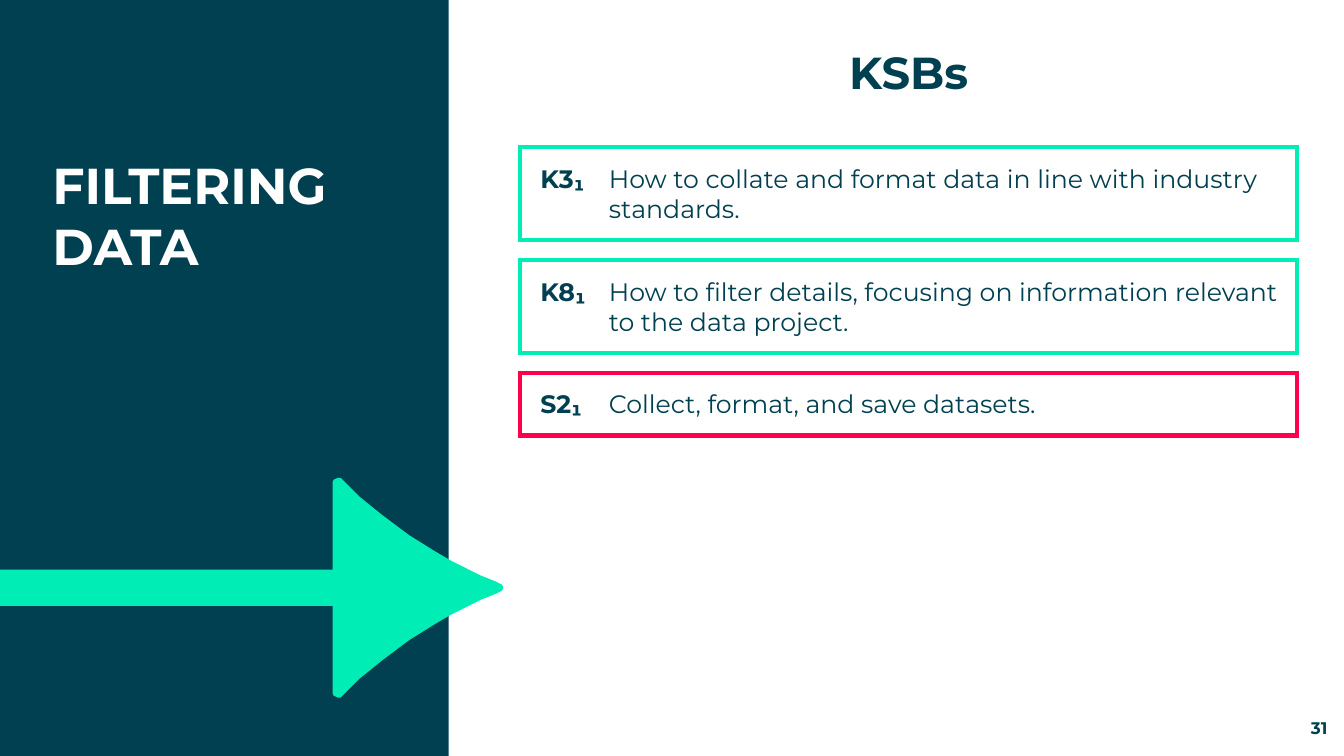
from pptx import Presentation
from pptx.dml.color import RGBColor
from pptx.enum.shapes import MSO_SHAPE as Shape
from pptx.enum.text import MSO_ANCHOR as Anchor, MSO_AUTO_SIZE as AutoSize, PP_ALIGN as Align
from pptx.oxml.ns import qn
from pptx.util import Inches, Pt
from lxml.etree import SubElement

NAVY, MINT, RED, WHITE = "004050", "00EDB5", "FF004C", "FFFFFF"
WIDTH, HEIGHT = 40 / 3, 7.5
COLUMN_LEFT, COLUMN_WIDTH = 5.16, 7.71
FIRST_TOP, GAP = 1.46, 0.2
TAB = Inches(0.68)


def paint(shape, fill, line=None):
    shape.shadow.inherit = False
    shape.fill.solid()
    shape.fill.fore_color.rgb = RGBColor.from_string(fill)
    if line:
        shape.line.color.rgb = RGBColor.from_string(line)
        shape.line.width = Pt(3)
        SubElement(shape._element.spPr.find(qn("a:ln")), qn("a:miter"), lim="800000")
    else:
        shape.line.fill.background()


def write(shape, *texts, size, color=NAVY, align=Align.LEFT, anchor=Anchor.TOP,
          insets=(0.1, 0.05, 0.1, 0.05), spacing=None, hanging=0, fit=AutoSize.NONE):
    frame = shape.text_frame
    frame.word_wrap = True
    frame.auto_size = fit
    frame.vertical_anchor = anchor
    frame.margin_left, frame.margin_top, frame.margin_right, frame.margin_bottom = map(Inches, insets)
    paragraph = frame.paragraphs[0]
    paragraph.alignment = align
    paragraph.space_before = Pt(0)
    paragraph.line_spacing = spacing or 1.0
    properties = paragraph._p.get_or_add_pPr()
    properties.set("marL", str(hanging))
    properties.set("indent", str(-hanging))
    SubElement(properties, qn("a:buNone"))
    for index, text in enumerate(texts):
        run = paragraph.add_run()
        run.text = text
        run.font.name = "Montserrat"
        run.font.size = Pt(size)
        run.font.bold = index == 0
        run.font.color.rgb = RGBColor.from_string(color)


presentation = Presentation()
presentation.slide_width, presentation.slide_height = Inches(WIDTH), Inches(HEIGHT)
slide = presentation.slides.add_slide(presentation.slide_layouts[1])
heading, topic = slide.placeholders

panel = slide.shapes.add_shape(Shape.RECTANGLE, 0, 0, Inches(4.45), Inches(HEIGHT))
paint(panel, NAVY)

arrow_axis = 583
upper_edge = [
    (0, 565), (330, 565), (330, 478), (331, 476), (333, 475), (335, 474), (338, 474),
    (357, 493), (378, 510), (406, 531), (430, 546), (447, 556), (461, 563),
    (477, 571), (492, 577), (498, 580), (499, 582),
]
lower_edge = [(x, 2 * arrow_axis - y) for x, y in reversed(upper_edge)]
builder = slide.shapes.build_freeform(*upper_edge[0], scale=Inches(0.01))
builder.add_line_segments(upper_edge[1:] + lower_edge, close=True)
arrow = builder.convert_to_shape()
paint(arrow, MINT)

for backdrop in (panel, arrow):
    heading._element.addprevious(backdrop._element)

heading.left, heading.top = Inches(COLUMN_LEFT), Inches(0.11)
heading.width, heading.height = Inches(COLUMN_WIDTH), Inches(1.16)
write(heading, "KSBs", size=32, align=Align.CENTER, anchor=Anchor.MIDDLE, spacing=Pt(42))

topic.left, topic.top = Inches(0.42), Inches(1.48)
topic.width, topic.height = Inches(3.77), Inches(3.01)
write(topic, "FILTERING DATA", size=36, color=WHITE)

top = FIRST_TOP
for code, description, height, outline in [
    ("K3₁", "How to collate and format data in line with industry standards.", 0.92, MINT),
    ("K8₁", "How to filter details, focusing on information relevant to the data project.", 0.92, MINT),
    ("S2₁", "Collect, format, and save datasets.", 0.62, RED),
]:
    card = slide.shapes.add_shape(Shape.RECTANGLE, Inches(COLUMN_LEFT), Inches(top),
                                  Inches(COLUMN_WIDTH), Inches(height))
    paint(card, WHITE, outline)
    write(card, code + "\t", description, size=18, insets=(0.2, 0.16, 0.16, 0.16),
          hanging=TAB, fit=AutoSize.SHAPE_TO_FIT_TEXT)
    top += height + GAP

page_number = slide.shapes.add_textbox(Inches(12.31), Inches(7.12), Inches(0.86), Inches(0.2))
write(page_number, "31", size=12, align=Align.RIGHT, anchor=Anchor.BOTTOM, insets=(0, 0, 0, 0))

presentation.save("out.pptx")
